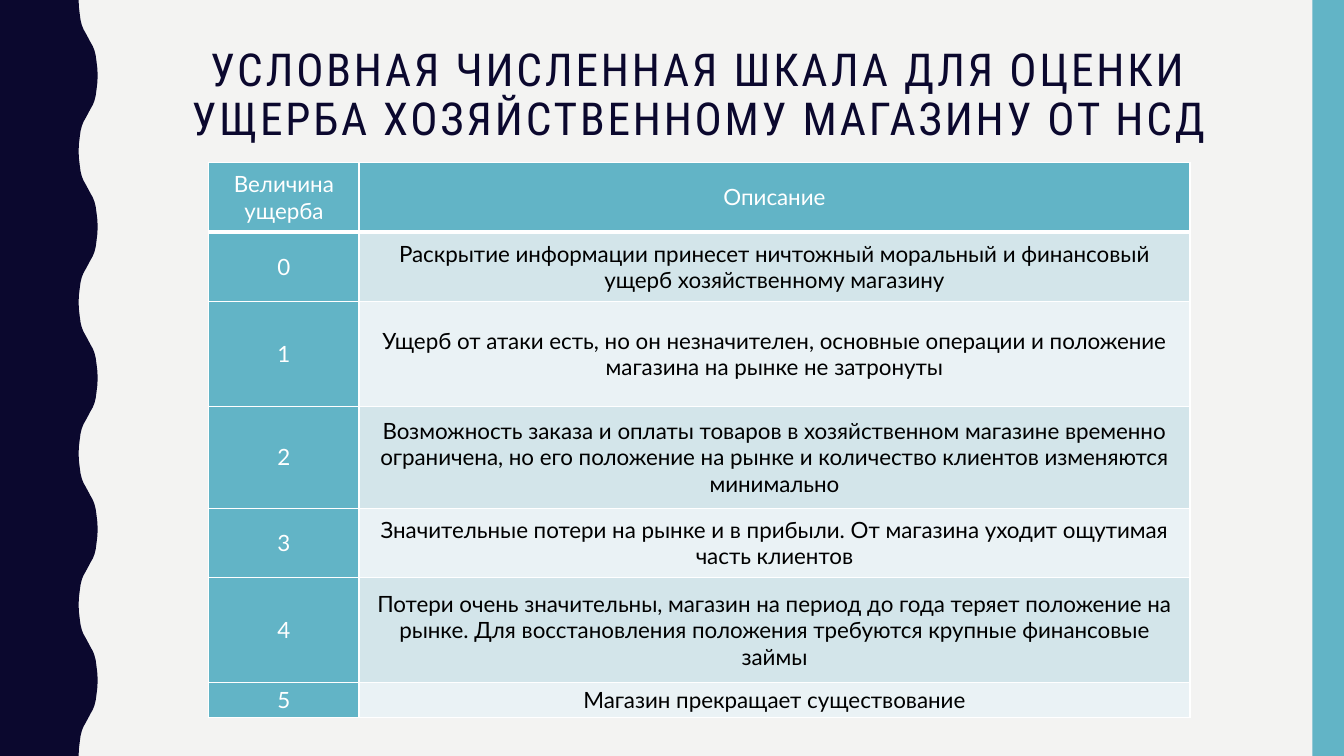
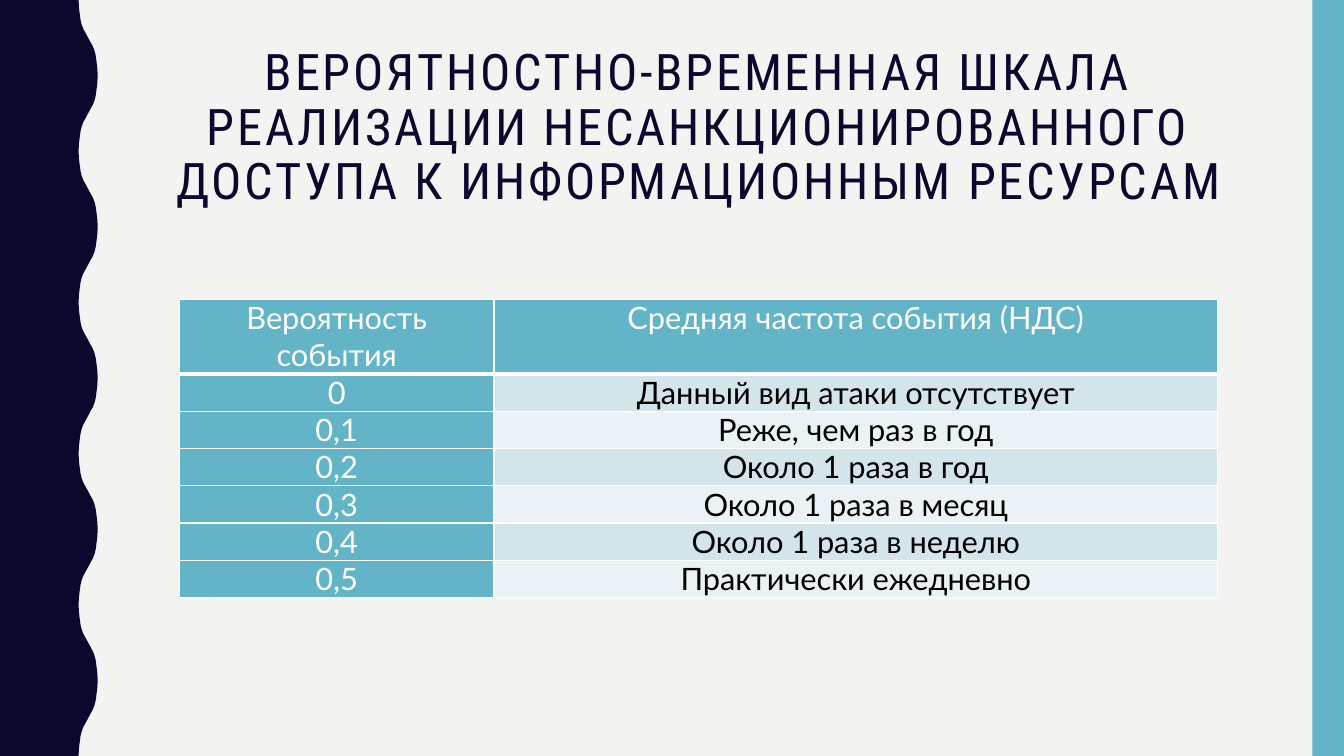
from lxml.etree import SubElement
from pptx import Presentation
from pptx.dml.color import RGBColor
from pptx.enum.shapes import MSO_SHAPE
from pptx.enum.text import MSO_ANCHOR as Anchor, PP_ALIGN as Align
from pptx.oxml.ns import qn
from pptx.util import Pt

NAVY = RGBColor(0x0B, 0x08, 0x2E)
TEAL = RGBColor(0x62, 0xB4, 0xC6)
PAPER = RGBColor(0xF3, 0xF3, 0xF2)
WHITE = RGBColor(0xFF, 0xFF, 0xFF)
BLACK = RGBColor(0, 0, 0)
BANDS = (RGBColor(0xD3, 0xE5, 0xEA), RGBColor(0xEA, 0xF2, 0xF5))
TITLE_FONT, BODY_FONT = "Roboto Condensed", "Lato"

WIDTH, HEIGHT = 960, 540
TITLE_BOX = (98.6, 30.2, 801.4, 117.4)
STRIPE_WIDTH = 22.5
HALF_WAVE, WAVE_AXIS = 54, 63
QUARTER_WAVE = [(56.2, 0), (56.4, 5), (57, 10), (57.6, 14.4),
                (58.5, 18), (59.7, 21), (61.4, 24), (63, 27)]

SLIDES = [
    {
        "title": "УСЛОВНАЯ ЧИСЛЕННАЯ ШКАЛА ДЛЯ ОЦЕНКИ УЩЕРБА "
                 "ХОЗЯЙСТВЕННОМУ МАГАЗИНУ ОТ НСД",
        "title_size": 32.4,
        "origin": (149.2, 116),
        "columns": (107.3, 593.5),
        "heights": (49.7, 49.7, 74.9, 72.7, 49.7, 74.9, 25.2),
        "size": 16, "inset": 5.4, "anchor": Anchor.MIDDLE,
        "rows": [
            ("Величина ущерба", "Описание"),
            ("0", "Раскрытие информации принесет ничтожный моральный и "
                  "финансовый ущерб хозяйственному магазину"),
            ("1", "Ущерб от атаки есть, но он незначителен, основные операции "
                  "и положение магазина на рынке не затронуты"),
            ("2", "Возможность заказа и оплаты товаров в хозяйственном магазине "
                  "временно ограничена, но его положение на рынке и количество "
                  "клиентов изменяются минимально"),
            ("3", "Значительные потери на рынке и в прибыли. От магазина уходит "
                  "ощутимая часть клиентов"),
            ("4", "Потери очень значительны, магазин на период до года теряет "
                  "положение на рынке. Для восстановления положения требуются "
                  "крупные финансовые займы"),
            ("5", "Магазин прекращает существование"),
        ],
    },
    {
        "title": "ВЕРОЯТНОСТНО-ВРЕМЕННАЯ ШКАЛА РЕАЛИЗАЦИИ "
                 "НЕСАНКЦИОНИРОВАННОГО ДОСТУПА К ИНФОРМАЦИОННЫМ РЕСУРСАМ",
        "title_size": 36,
        "origin": (128.2, 213.8),
        "columns": (224.6, 517),
        "heights": (53.3,) + (26.64,) * 6,
        "size": 22, "inset": 8.6, "anchor": Anchor.TOP,
        "rows": [
            ("Вероятность события", "Средняя частота события (НДС)"),
            ("0", "Данный вид атаки отсутствует"),
            ("0,1", "Реже, чем раз в год"),
            ("0,2", "Около 1 раза в год"),
            ("0,3", "Около 1 раза в месяц"),
            ("0,4", "Около 1 раза в неделю"),
            ("0,5", "Практически ежедневно"),
        ],
    },
]


def paint(shape, color):
    shape.shadow.inherit = False
    shape.fill.solid()
    shape.fill.fore_color.rgb = color
    shape.line.fill.background()


def style_run(run, font_name, size, color):
    run.font.name = font_name
    run.font.size = Pt(size)
    run.font.bold = False
    run.font.color.rgb = color


def wave_points():
    rising = QUARTER_WAVE + [(2 * WAVE_AXIS - x, HALF_WAVE - y)
                             for x, y in QUARTER_WAVE[-2::-1]]
    for index in range(HEIGHT // HALF_WAVE):
        for x, y in rising:
            edge = 2 * WAVE_AXIS - x if index % 2 else x
            yield Pt(edge), Pt(index * HALF_WAVE + y)


def add_frame(slide):
    slide.background.fill.solid()
    slide.background.fill.fore_color.rgb = PAPER
    wave = slide.shapes.build_freeform(0, 0)
    wave.add_line_segments([*wave_points(), (0, Pt(HEIGHT))], close=True)
    paint(wave.convert_to_shape(), NAVY)
    stripe = slide.shapes.add_shape(MSO_SHAPE.RECTANGLE, Pt(WIDTH - STRIPE_WIDTH), 0,
                                    Pt(STRIPE_WIDTH), Pt(HEIGHT))
    paint(stripe, TEAL)


def add_title(slide, text, size):
    text_frame = slide.shapes.add_textbox(*map(Pt, TITLE_BOX)).text_frame
    text_frame.word_wrap = True
    text_frame.text = text
    paragraph = text_frame.paragraphs[0]
    paragraph.alignment = Align.CENTER
    paragraph.line_spacing = 0.9
    run = paragraph.runs[0]
    style_run(run, TITLE_FONT, size, NAVY)
    run.font._element.set("spc", "200")


def add_borders(cell, bottom):
    properties = cell._tc.get_or_add_tcPr()
    for side, width in (("L", 1), ("R", 1), ("T", 1), ("B", bottom)):
        line = SubElement(properties, qn(f"a:ln{side}"), w=str(Pt(width)))
        fill = SubElement(line, qn("a:solidFill"))
        SubElement(fill, qn("a:srgbClr"), val=str(WHITE))


def style_cell(cell, text, fill, color, bottom, content):
    add_borders(cell, bottom)
    cell.fill.solid()
    cell.fill.fore_color.rgb = fill
    cell.margin_left = cell.margin_right = Pt(content["inset"])
    cell.margin_top = cell.margin_bottom = 0
    cell.vertical_anchor = content["anchor"]
    cell.text_frame.text = text
    paragraph = cell.text_frame.paragraphs[0]
    paragraph.alignment = Align.CENTER
    style_run(paragraph.runs[0], BODY_FONT, content["size"], color)


def add_scale(slide, content):
    rows, columns, heights = content["rows"], content["columns"], content["heights"]
    left, top = content["origin"]
    table = slide.shapes.add_table(len(rows), len(columns), Pt(left), Pt(top),
                                   Pt(sum(columns)), Pt(sum(heights))).table
    table.first_row = table.horz_banding = False
    for column, width in zip(table.columns, columns):
        column.width = Pt(width)
    for row, height in zip(table.rows, heights):
        row.height = Pt(height)
    for row_index, texts in enumerate(rows):
        for column_index, text in enumerate(texts):
            heading = row_index == 0 or column_index == 0
            fill = TEAL if heading else BANDS[(row_index - 1) % 2]
            style_cell(table.cell(row_index, column_index), text, fill,
                       WHITE if heading else BLACK, 3 if row_index == 0 else 1, content)


presentation = Presentation()
presentation.slide_width, presentation.slide_height = Pt(WIDTH), Pt(HEIGHT)
for content in SLIDES:
    slide = presentation.slides.add_slide(presentation.slide_layouts[6])
    add_frame(slide)
    add_title(slide, content["title"], content["title_size"])
    add_scale(slide, content)
presentation.save("out.pptx")
